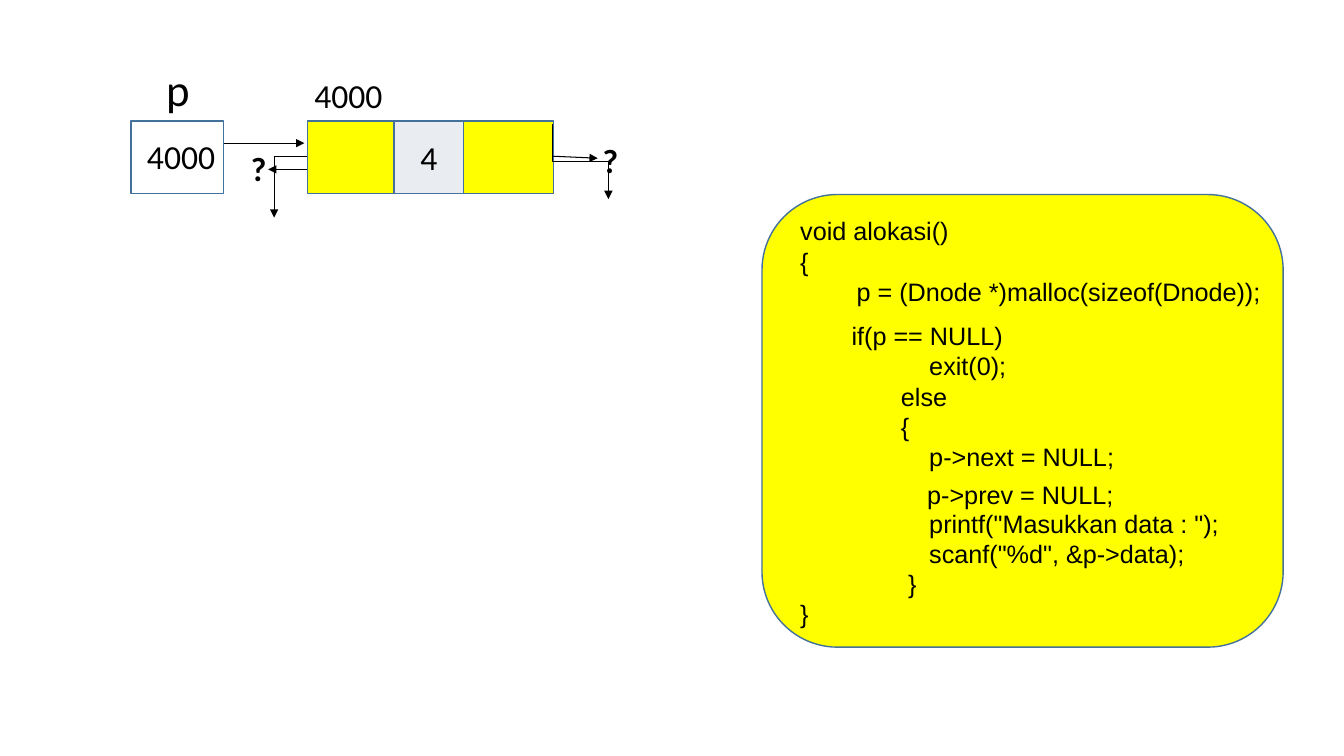
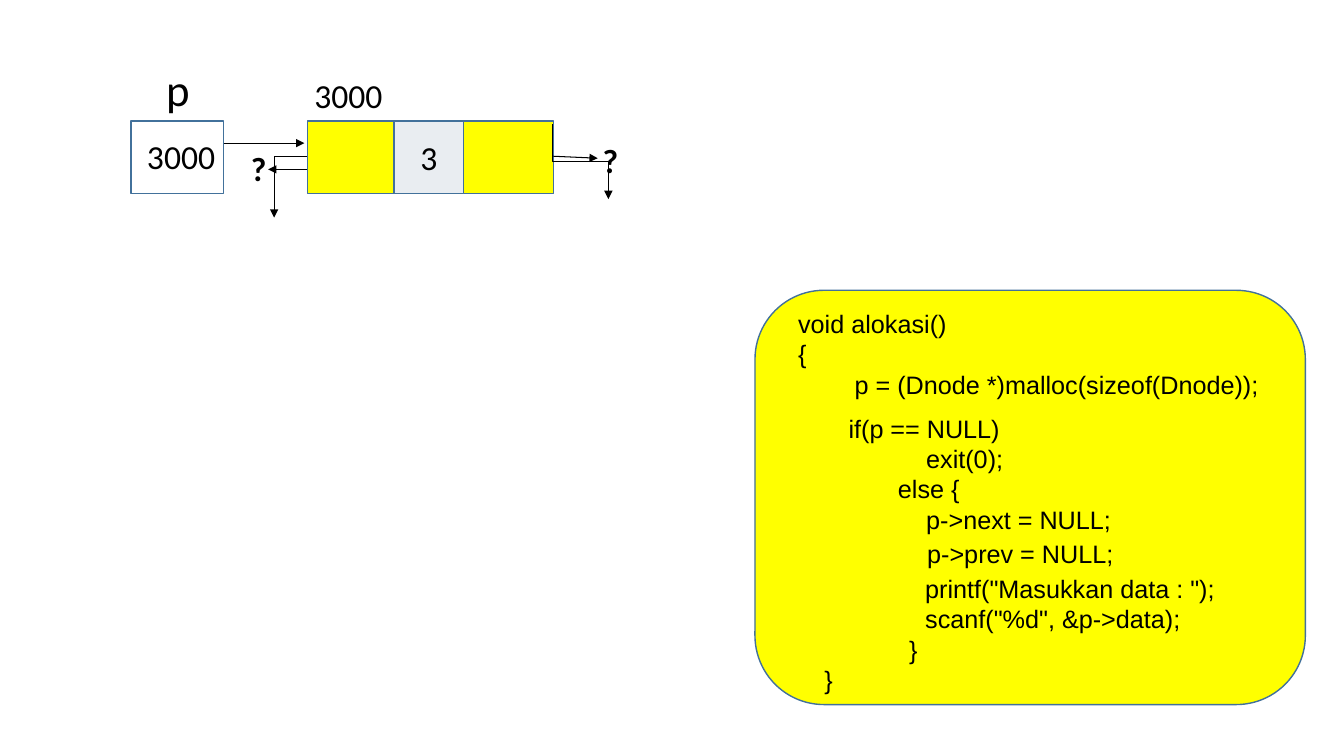
from dataclasses import dataclass

from lxml import etree
from pptx import Presentation
from pptx import util as u
from pptx.dml.color import RGBColor
from pptx.enum import shapes, text
from pptx.oxml.ns import qn

# Grid: cells of a tenth of an inch, 133.33 columns by 75 rows
CELL = 0.1
COLS, ROWS = 133.33, 75
INK, EDGE = "000000", "42719B"
YELLOW, GREY, WHITE = "FFFF00", "E9EDF1", "FFFFFF"
SPACE = 0.7  # width of one code character of indent, in columns


@dataclass(frozen=True)
class Box:
    col: float
    row: float
    wide: float
    high: float


@dataclass(frozen=True)
class Line:
    text: str
    indent: float = 0  # columns


@dataclass(frozen=True)
class Code:
    box: Box
    lines: tuple[Line, ...]


@dataclass(frozen=True)
class Label:
    text: str
    box: Box
    size: int = 24
    bold: bool = False


@dataclass(frozen=True)
class Arrow:
    start: tuple[float, float]
    end: tuple[float, float]
    bend: str = ""
    turn: int = 0  # degrees


@dataclass(frozen=True)
class Page:
    address: str
    value: str
    panel: Box
    code: tuple[Code, ...]


def cells(count: float) -> u.Length:
    return u.Inches(count * CELL)


def place(box: Box) -> tuple[u.Length, ...]:
    return tuple(cells(n) for n in (box.col, box.row, box.wide, box.high))


def color(code: str) -> RGBColor:
    return RGBColor.from_string(code)


def write(frame, lines, size: int, font: str, bold: bool = False,
          align=text.PP_ALIGN.LEFT) -> None:
    frame.word_wrap = True
    for i, line in enumerate(lines):
        para = frame.add_paragraph() if i else frame.paragraphs[0]
        para.text = line.text
        para.alignment = align
        para.font.size = u.Pt(size)
        para.font.name = font
        para.font.bold = bold
        para.font.color.rgb = color(INK)
        if line.indent:
            props = para._p.get_or_add_pPr()
            props.set("marL", str(int(cells(line.indent))))
            props.set("indent", "0")


def draw_box(slide, box: Box, fill: str, kind=shapes.MSO_SHAPE.RECTANGLE):
    shape = slide.shapes.add_shape(kind, *place(box))
    shape.shadow.inherit = False
    shape.fill.solid()
    shape.fill.fore_color.rgb = color(fill)
    shape.line.color.rgb = color(EDGE)
    shape.line.width = u.Pt(1)
    return shape


def draw_text(slide, box: Box, lines, size: int, font: str, bold: bool = False) -> None:
    frame = slide.shapes.add_textbox(*place(box)).text_frame
    write(frame, lines, size, font, bold)


def draw_arrow(slide, arrow: Arrow) -> None:
    kind = shapes.MSO_CONNECTOR.ELBOW if arrow.bend else shapes.MSO_CONNECTOR.STRAIGHT
    ends = (cells(n) for n in arrow.start + arrow.end)
    link = slide.shapes.add_connector(kind, *ends)
    link.line.color.rgb = color(INK)
    link.line.width = u.Pt(0.75)
    props = link.element.spPr
    etree.SubElement(props.find(qn("a:ln")), qn("a:tailEnd"), type="triangle")
    etree.SubElement(props, qn("a:effectLst"))
    if arrow.bend:
        props.find(qn("a:prstGeom")).set("prst", arrow.bend)
    if arrow.turn:
        props.find(qn("a:xfrm")).set("rot", str(arrow.turn * 60000))


# Node diagram
NODE = Box(30.5, 12, 24.4, 7.2)
DATA = Box(39.1, 12, 6.9, 7.2)
POINTER = Box(13, 12, 9.2, 7.2)
ARROWS = (
    Arrow((54.9, 15.5), (59.3, 15.7)),
    Arrow((30.5, 16.8), (26.6, 16.8)),
    Arrow((22.2, 14.2), (30.2, 14.2)),
    Arrow((61.3, 13.3), (53.9, 18.8), "bentConnector3", 270),
    Arrow((30.5, 15.5), (27.2, 21.6), "bentConnector2"),
)


def draw_node(slide, page: Page) -> None:
    draw_box(slide, NODE, YELLOW)
    data = draw_box(slide, DATA, GREY).text_frame
    data.vertical_anchor = text.MSO_ANCHOR.MIDDLE
    write(data, [Line(page.value)], 24, "Calibri", align=text.PP_ALIGN.CENTER)
    draw_box(slide, POINTER, WHITE)
    labels = (
        Label(page.address, Box(30.2, 6.9, 10.1, 5)),
        Label("p", Box(15.5, 5.6, 4.3, 6.4), size=32),
        Label(page.address, Box(13.6, 13, 10.1, 5)),
        Label("?", Box(58.8, 13.4, 3.3, 5), bold=True),
        Label("?", Box(23.9, 14.2, 3.3, 5), bold=True),
    )
    for label in labels:
        draw_text(slide, label.box, [Line(label.text)], label.size, "Calibri", label.bold)
    for arrow in ARROWS:
        draw_arrow(slide, arrow)


# Code text shared by the slides
HEAD = (
    Line("void alokasi()"),
    Line("{"),
    Line("p = (Dnode *)malloc(sizeof(Dnode));", 8 * SPACE),
)
TEST = (Line("if(p == NULL)", SPACE), Line("exit(0);", 12 * SPACE))
NEXT = Line("p->next = NULL;", 12 * SPACE)
PREV = (Line("p->prev = NULL;"),)


def tail(read: float, close: float) -> tuple[Line, ...]:
    return (
        Line('printf("Masukkan data : ");', read),
        Line('scanf("%d", &p->data);', read),
        Line("}", close),
        Line("}"),
    )


PAGES = (
    Page("4000", "4", Box(75.6, 19.3, 51.7, 44.9), (
        Code(Box(78.4, 20.9, 48, 16.2), HEAD),
        Code(Box(82.8, 31.3, 28.9, 28.9),
             TEST + (Line("else", 8 * SPACE), Line("{", 8 * SPACE), NEXT)),
        Code(Box(91, 47.1, 20.7, 7.1), PREV),
        Code(Box(78.4, 49.9, 48.8, 16.2), tail(10 + 4 * SPACE, 10 + SPACE)),
    )),
    Page("3000", "3", Box(74.9, 28.8, 54.6, 41.1), (
        Code(Box(78.2, 30.1, 48, 16.2), HEAD),
        Code(Box(82.5, 40.5, 30.3, 16.2), TEST + (Line("else {", 8 * SPACE), NEXT)),
        Code(Box(91, 52.9, 20.7, 7.1), PREV),
        Code(Box(80.8, 56.4, 41.2, 16.2), tail(10, 12 * SPACE)),
    )),
)


def main() -> None:
    deck = Presentation()
    deck.slide_width, deck.slide_height = cells(COLS), cells(ROWS)
    blank = deck.slide_layouts[6]
    for page in PAGES:
        slide = deck.slides.add_slide(blank)
        draw_node(slide, page)
        draw_box(slide, page.panel, YELLOW, shapes.MSO_SHAPE.ROUNDED_RECTANGLE)
        for code in page.code:
            draw_text(slide, code.box, code.lines, 18, "Arial")
    deck.save("out.pptx")


if __name__ == "__main__":
    main()
